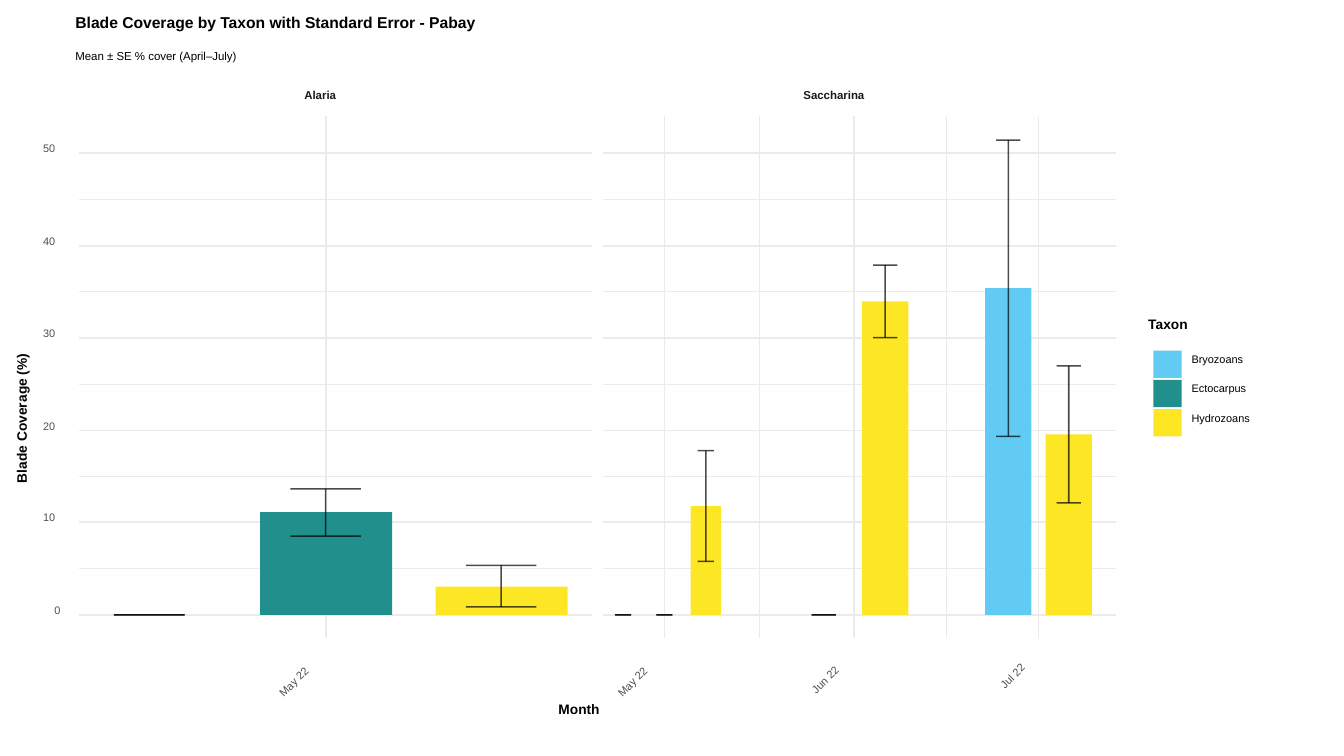
from collections import namedtuple
from dataclasses import dataclass

from lxml import etree
from pptx import Presentation
from pptx.dml.color import RGBColor
from pptx.enum.shapes import MSO_CONNECTOR, MSO_SHAPE
from pptx.enum.text import MSO_AUTO_SIZE
from pptx.oxml.ns import qn
from pptx.util import Emu, Pt

RECTANGLE = MSO_SHAPE.RECTANGLE
STRAIGHT = MSO_CONNECTOR.STRAIGHT
FIT_TEXT = MSO_AUTO_SIZE.SHAPE_TO_FIT_TEXT

EMU_PER_PX = 9144
BLANK_LAYOUT = 6
PANEL_TOP, PANEL_BOTTOM, PANEL_WIDTH = 115, 633, 509
ZERO_Y, PX_PER_PERCENT = 610, 9.16


@dataclass(frozen=True)
class Theme:
    font: str = "Arial"
    black: str = "000000"
    strip: str = "1A1A1A"
    axis: str = "4D4D4D"
    grid: str = "EBEBEB"
    bryozoans: str = "61CBF4"
    ectocarpus: str = "21908C"
    hydrozoans: str = "FDE725"
    title_size: float = 11.2
    heading_size: float = 9.8
    strip_size: float = 8.2
    label_size: float = 7.8
    minor_line: float = 0.63
    major_line: float = 1.25
    error_line: float = 1.07
    error_opacity: int = 70


THEME = Theme()
TAXA = {
    "Bryozoans": THEME.bryozoans,
    "Ectocarpus": THEME.ectocarpus,
    "Hydrozoans": THEME.hydrozoans,
}

Panel = namedtuple("Panel", "left major_x minor_x bars")
Bar = namedtuple("Bar", "taxon center width cap mean low high")

PANELS = [
    Panel(78, [323], [], [
        Bar("Bryozoans", 148, 131, 70, 0, 0, 0),
        Bar("Ectocarpus", 323, 131, 70, 11.1, 8.5, 13.6),
        Bar("Hydrozoans", 497, 131, 70, 3.1, 0.9, 5.3),
    ]),
    Panel(598, [659, 847, 1030], [753, 939], [
        Bar("Bryozoans", 618, 30, 16, 0, 0, 0),
        Bar("Ectocarpus", 659, 30, 16, 0, 0, 0),
        Bar("Hydrozoans", 700, 30, 16, 11.8, 5.8, 17.8),
        Bar("Bryozoans", 817, 46, 24, 0, 0, 0),
        Bar("Hydrozoans", 878, 46, 24, 34, 30, 37.9),
        Bar("Bryozoans", 1000, 46, 24, 35.4, 19.3, 51.4),
        Bar("Hydrozoans", 1060, 46, 24, 19.5, 12.1, 27),
    ]),
]
STRIP_LABELS = [("Alaria", 292, 81), ("Saccharina", 787, 132)]
MONTH_LABELS = [
    ("May 22", 262, 652, 88),
    ("May 22", 598, 652, 88),
    ("Jun 22", 791, 651, 82),
    ("Jul 22", 979, 648, 76),
]


def px(n):
    return Emu(n * EMU_PER_PX)


def y_of(percent):
    return round(ZERO_Y - percent * PX_PER_PERCENT)


def add_text(s, text, x, y, w, h, *, size=THEME.label_size, color=THEME.black,
             bold=False, rotation=0):
    sp = s.shapes.add_textbox(px(x), px(y), px(w), px(h))
    sp.rotation = rotation
    tf = sp.text_frame
    tf.word_wrap = False
    tf.auto_size = FIT_TEXT
    r = tf.paragraphs[0].add_run()
    r.text = text
    r.font.name = THEME.font
    r.font.size = Pt(size)
    r.font.bold = bold
    r.font.color.rgb = RGBColor.from_string(color)


def add_rect(s, x, y, w, h, color):
    sp = s.shapes.add_shape(RECTANGLE, px(x), px(y), px(w), px(h))
    sp.shadow.inherit = False
    sp.fill.solid()
    sp.fill.fore_color.rgb = RGBColor.from_string(color)
    sp.line.fill.background()


def add_line(s, x1, y1, x2, y2, color, weight, opacity=100):
    cn = s.shapes.add_connector(STRAIGHT, px(x1), px(y1), px(x2), px(y2))
    cn.line.width = Pt(weight)
    cn.line.color.rgb = RGBColor.from_string(color)
    sp_pr = cn._element.spPr
    if opacity < 100:
        rgb = sp_pr.find(".//" + qn("a:srgbClr"))
        etree.SubElement(rgb, qn("a:alpha")).set("val", str(opacity * 1000))
    etree.SubElement(sp_pr, qn("a:effectLst"))


def add_grid(s, panel):
    """Draw minor lines first, so that major lines lie over them."""
    right = panel.left + PANEL_WIDTH
    for weight, levels, columns in (
        (THEME.minor_line, range(5, 50, 10), panel.minor_x),
        (THEME.major_line, range(0, 60, 10), panel.major_x),
    ):
        for level in levels:
            y = y_of(level)
            add_line(s, panel.left, y, right, y, THEME.grid, weight)
        for x in columns:
            add_line(s, x, PANEL_BOTTOM, x, PANEL_TOP, THEME.grid, weight)


def add_error_bar(s, bar):
    left = bar.center - bar.cap // 2
    top, bottom = y_of(bar.high), y_of(bar.low)
    segments = [(left, y, left + bar.cap, y) for y in (top, bottom)]
    if bottom > top:
        segments.append((bar.center, top, bar.center, bottom))
    for segment in segments:
        add_line(s, *segment, THEME.black, THEME.error_line, THEME.error_opacity)


def add_panel(s, panel):
    add_grid(s, panel)
    for bar in panel.bars:
        if bar.mean:
            top = y_of(bar.mean)
            add_rect(s, bar.center - bar.width // 2, top, bar.width,
                     ZERO_Y - top, TAXA[bar.taxon])
    for bar in panel.bars:
        add_error_bar(s, bar)


def add_axis_labels(s):
    for text, x, w in STRIP_LABELS:
        add_text(s, text, x, 82, w, 33, size=THEME.strip_size,
                 color=THEME.strip, bold=True)
    for text, x, y, w in MONTH_LABELS:
        add_text(s, text, x, y, w, 32, color=THEME.axis, rotation=315)
    for level in range(0, 60, 10):
        w = 47 if level else 36
        add_text(s, str(level), 80 - w, y_of(level) - 16, w, 32, color=THEME.axis)
    add_text(s, "Month", 544, 690, 97, 36, size=THEME.heading_size, bold=True)
    add_text(s, "Blade Coverage (%)", -87, 355, 229, 39,
             size=THEME.heading_size, bold=True, rotation=270)


def add_legend(s):
    add_text(s, "Taxon", 1129, 308, 93, 36, size=THEME.heading_size, bold=True)
    for i, (taxon, color) in enumerate(TAXA.items()):
        y = 348 + 29 * i
        add_rect(s, 1144, y, 28, 27, color)
        add_text(s, taxon, 1172, y - 3, 120, 32)


def main():
    prs = Presentation()
    prs.slide_width, prs.slide_height = px(1333), px(750)
    s = prs.slides.add_slide(prs.slide_layouts[BLANK_LAYOUT])
    for panel in PANELS:
        add_panel(s, panel)
    add_axis_labels(s)
    add_legend(s)
    add_text(s, "Mean ± SE % cover (April–July)", 65, 44, 307, 33,
             size=THEME.strip_size)
    add_text(s, "Blade Coverage by Taxon with Standard Error - Pabay",
             65, 8, 553, 35, size=THEME.title_size, bold=True)
    prs.save("out.pptx")


if __name__ == "__main__":
    main()
